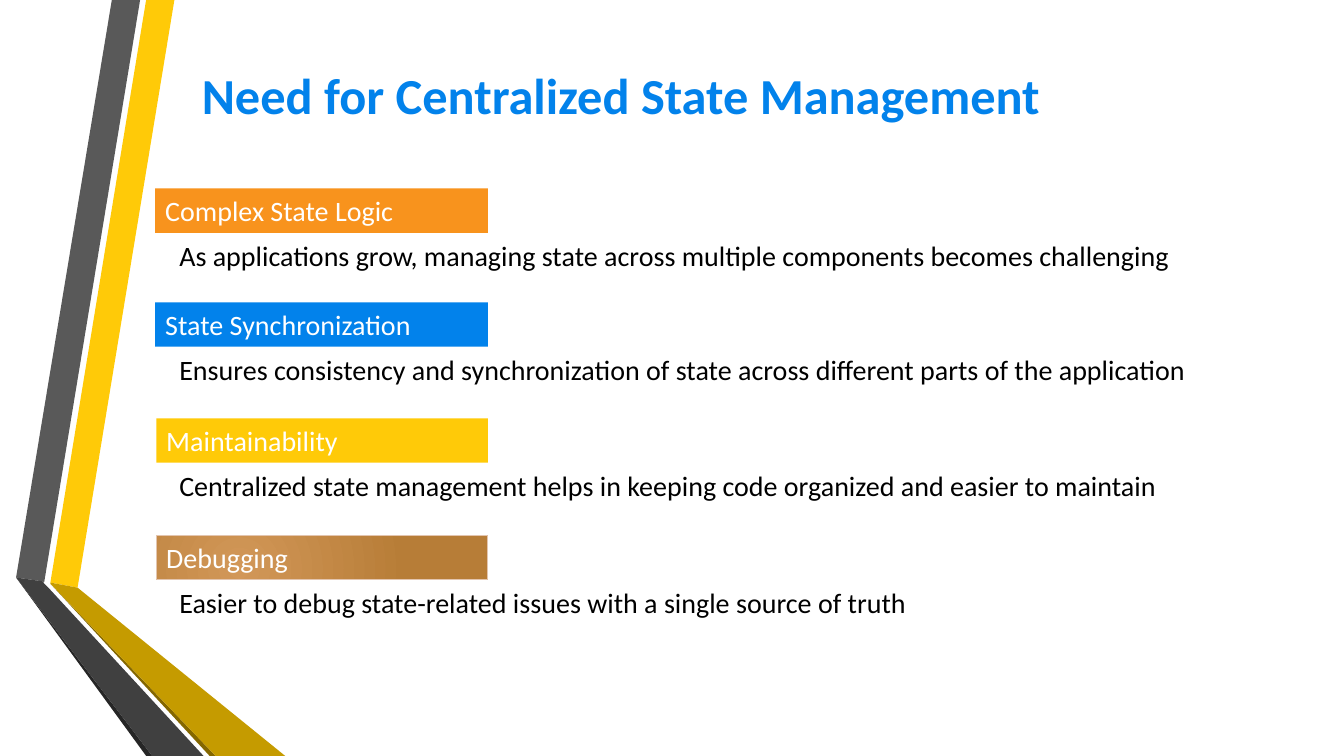
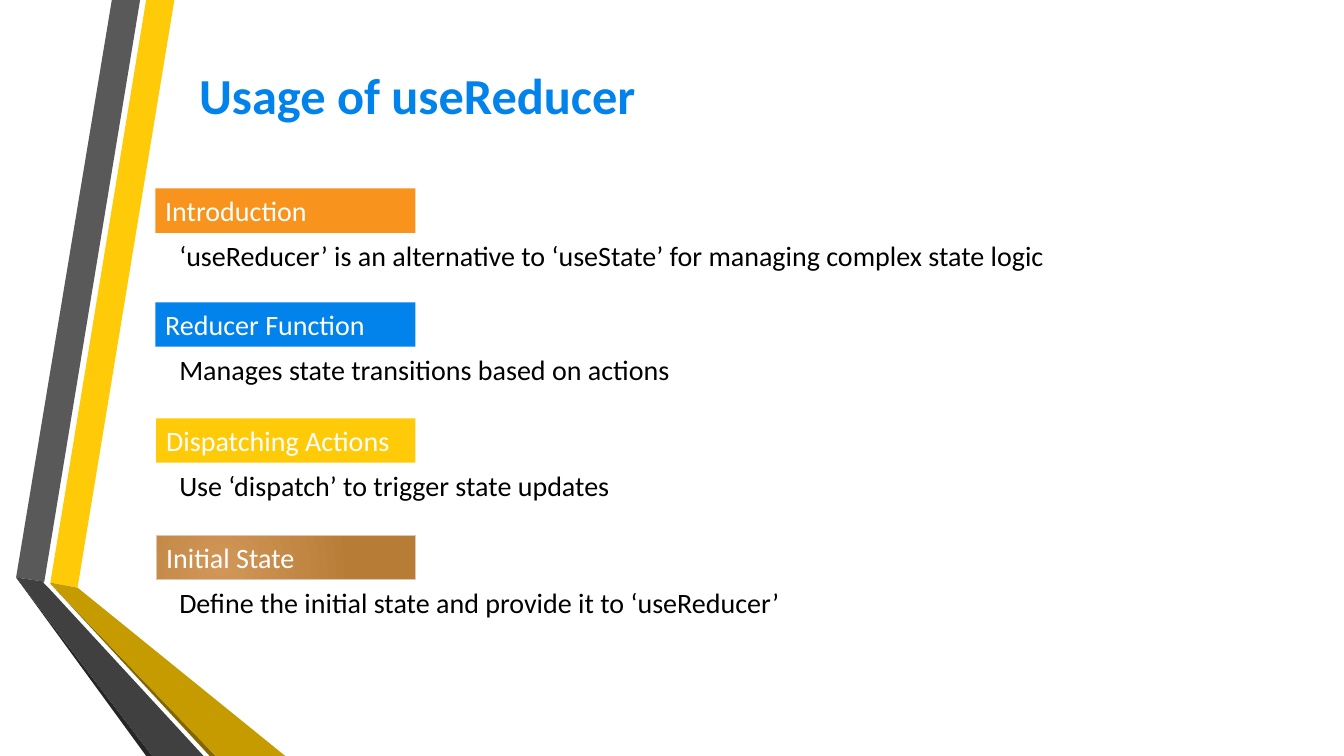
from dataclasses import dataclass

from lxml.etree import SubElement
from pptx import Presentation
from pptx.dml.color import RGBColor
from pptx.enum.shapes import MSO_SHAPE
from pptx.enum.text import MSO_ANCHOR, MSO_AUTO_SIZE, PP_ALIGN
from pptx.oxml.ns import qn
from pptx.util import Inches, Pt


@dataclass(frozen=True)
class Theme:
    font: str = "Calibri"
    title_size: int = 36
    text_size: int = 20
    title: str = "0282EB"
    label_text: str = "FFFFFF"
    text: str = "000000"
    bronze: tuple = ("D29758", "B77D37")
    bronze_line: str = "E3C5AF"
    label_fills: tuple = ("F8931D", "0282EB", "FFCA08", None)


THEME = Theme()

SLIDES = [
    {
        "title": "Need for Centralized State Management",
        "title_width": 8.96,
        "label_right": 4.84,
        "topics": [
            ("Complex State Logic", 10.39,
             "As applications grow, managing state across multiple components becomes challenging"),
            ("State Synchronization", 10.39,
             "Ensures consistency and synchronization of state across different parts of the application"),
            ("Maintainability", 10.39,
             "Centralized state management helps in keeping code organized and easier to maintain"),
            ("Debugging", 7.61,
             "Easier to debug state-related issues with a single source of truth"),
        ],
    },
    {
        "title": "Usage of useReducer",
        "title_width": 4.92,
        "label_right": 4.12,
        "topics": [
            ("Introduction", 9.05,
             "‘useReducer’ is an alternative to ‘useState’ for managing complex state logic"),
            ("Reducer Function", 5.17, "Manages state transitions based on actions"),
            ("Dispatching Actions", 4.63, "Use ‘dispatch’ to trigger state updates"),
            ("Initial State", 6.2, "Define the initial state and provide it to ‘useReducer’"),
        ],
    },
]

RIBBONS = [
    ("FFCA08", [(0.5, 5.78), (0.77, 5.83), (1.73, 0), (1.45, 0)]),
    ("595959", [(1.39, 0), (1.11, 0), (0.16, 5.73), (0.44, 5.77)]),
    ("262626", [(0.16, 5.73), (1.45, 7.5), (1.51, 7.5)]),
    ("846700", [(0.5, 5.79), (2.08, 7.5), (2.14, 7.5)]),
    ("C59B00", [(0.5, 5.79), (2.14, 7.5), (2.83, 7.5), (0.77, 5.83), (0.5, 5.78)]),
    ("404040", [(2.02, 7.5), (0.48, 5.83), (0.43, 5.78), (0.44, 5.77), (0.16, 5.73), (1.51, 7.5)]),
]

TEXT_LEFT = 1.68
TITLE_TOP, TITLE_HEIGHT = 0.55, 0.78
LABEL_PLACES = [(1.54, 1.87), (1.54, 3), (1.55, 4.15), (1.55, 5.31)]
ROW_HEIGHT = 0.44
DETAIL_OFFSET = 0.45


def color(value):
    return RGBColor.from_string(value)


def write(shape, text, size, text_color, bold=False, align=PP_ALIGN.LEFT):
    para = shape.text_frame.paragraphs[0]
    para.alignment = align
    span = para.add_run()
    span.text = text
    span.font.name = THEME.font
    span.font.size = Pt(size)
    span.font.bold = bold
    span.font.color.rgb = color(text_color)


def paint(shape, fill):
    shape.shadow.inherit = False
    shape.fill.solid()
    shape.fill.fore_color.rgb = color(fill)
    shape.line.fill.background()


def paint_bronze(shape):
    shape.shadow.inherit = False
    shape.fill.gradient()
    for stop, position, value in zip(shape.fill.gradient_stops, (0, 1), THEME.bronze):
        stop.position = position
        stop.color.rgb = color(value)
    gradient = shape.element.spPr.find(qn("a:gradFill"))
    gradient.remove(gradient.find(qn("a:lin")))
    circle = SubElement(gradient, qn("a:path"), {"path": "circle"})
    SubElement(circle, qn("a:fillToRect"), {"l": "50000", "t": "100000", "r": "100000", "b": "50000"})
    shape.line.color.rgb = color(THEME.bronze_line)
    shape.line.width = Pt(0.75)


def fit_row(shape):
    frame = shape.text_frame
    frame.word_wrap = True
    frame.auto_size = MSO_AUTO_SIZE.SHAPE_TO_FIT_TEXT
    frame.vertical_anchor = MSO_ANCHOR.TOP


def add_ribbons(layout, page):
    layout_title = layout.placeholders[0].element
    for number, (fill, points) in enumerate(RIBBONS, start=1):
        corners = [(Inches(x), Inches(y)) for x, y in points]
        outline = page.shapes.build_freeform(*corners[0])
        outline.add_line_segments(corners[1:], close=True)
        ribbon = outline.convert_to_shape()
        paint(ribbon, fill)
        ribbon.name = f"Ribbon {number}"
        ribbon.element.nvSpPr.cNvPr.set("id", str(100 + number))
        layout_title.addprevious(ribbon.element)


def add_title(page, text, width):
    title = page.shapes.title
    title.left, title.top = Inches(TEXT_LEFT), Inches(TITLE_TOP)
    title.width, title.height = Inches(width), Inches(TITLE_HEIGHT)
    title.text_frame.vertical_anchor = MSO_ANCHOR.MIDDLE
    write(title, text, THEME.title_size, THEME.title, bold=True, align=PP_ALIGN.CENTER)


def add_topic(page, topic, place, label_right, fill):
    heading, detail_width, detail = topic
    left, top = place
    label = page.shapes.add_shape(
        MSO_SHAPE.RECTANGLE, Inches(left), Inches(top), Inches(label_right - left), Inches(ROW_HEIGHT))
    if fill:
        paint(label, fill)
    else:
        paint_bronze(label)
    fit_row(label)
    write(label, heading, THEME.text_size, THEME.label_text)
    box = page.shapes.add_textbox(
        Inches(TEXT_LEFT), Inches(top + DETAIL_OFFSET), Inches(detail_width), Inches(ROW_HEIGHT))
    fit_row(box)
    write(box, detail, THEME.text_size, THEME.text)


def main():
    deck = Presentation()
    deck.slide_width, deck.slide_height = Inches(13.33), Inches(7.5)
    layout = deck.slide_layouts.get_by_name("Title Only")
    for index, content in enumerate(SLIDES):
        page = deck.slides.add_slide(layout)
        if index == 0:
            add_ribbons(layout, page)
        add_title(page, content["title"], content["title_width"])
        for topic, place, fill in zip(content["topics"], LABEL_PLACES, THEME.label_fills):
            add_topic(page, topic, place, content["label_right"], fill)
    deck.save("out.pptx")


if __name__ == "__main__":
    main()
